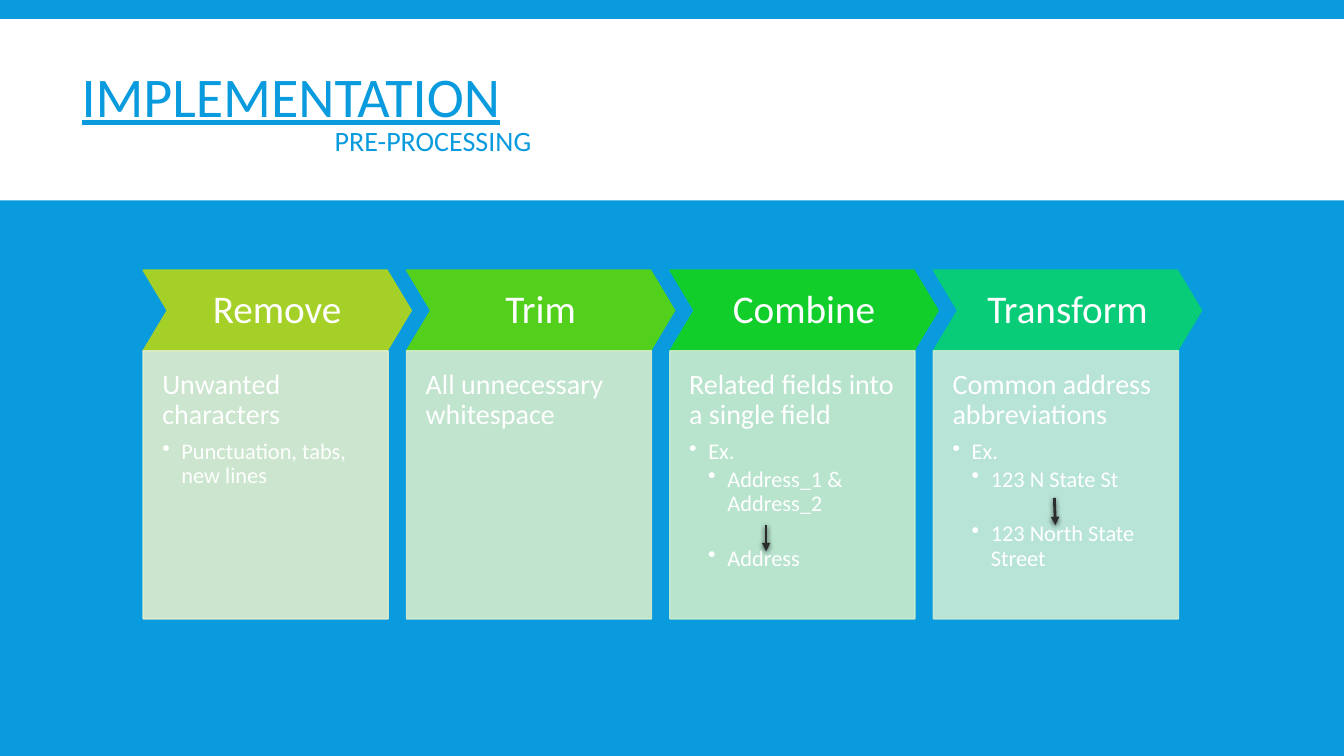
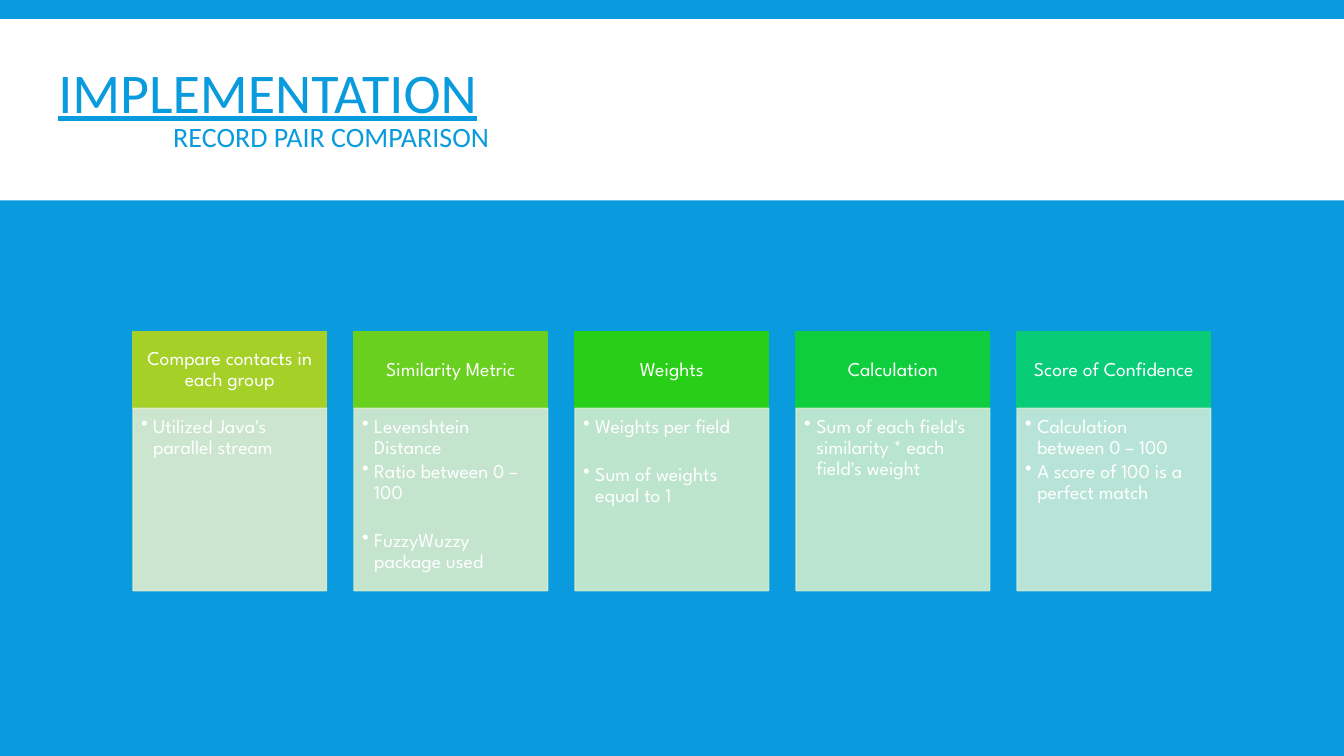
from dataclasses import dataclass
from lxml import etree
from pptx import Presentation
from pptx.dml.color import RGBColor
from pptx.enum.shapes import MSO_CONNECTOR, MSO_SHAPE as Shape
from pptx.enum.text import MSO_ANCHOR as Anchor, PP_ALIGN as Align
from pptx.oxml.ns import qn
from pptx.util import Inches, Pt

# Slide size, measured out in a grid of 100 columns by 100 rows
WIDTH, HEIGHT = Inches(13.33), Inches(7.5)

# Colours
BLUE = RGBColor(0x09, 0x9B, 0xDD)
WHITE = RGBColor(0xFF, 0xFF, 0xFF)
CHARCOAL = RGBColor(0x2C, 0x2C, 0x2C)
BLACK = RGBColor(0x00, 0x00, 0x00)
LIME, PALE_LIME = RGBColor(0xA5, 0xD0, 0x28), RGBColor(0xE1, 0xEE, 0xCD)
LEAF, PALE_LEAF = RGBColor(0x53, 0xD0, 0x1C), RGBColor(0xD6, 0xED, 0xCD)
GREEN, PALE_GREEN = RGBColor(0x12, 0xCE, 0x2B), RGBColor(0xCC, 0xED, 0xCD)
TEAL, PALE_TEAL = RGBColor(0x08, 0xCC, 0x78), RGBColor(0xCC, 0xEC, 0xD7)
APPLE, PALE_APPLE = RGBColor(0x69, 0xD0, 0x1F), RGBColor(0xD9, 0xED, 0xCD)
GRASS, PALE_GRASS = RGBColor(0x27, 0xCF, 0x17), RGBColor(0xD1, 0xED, 0xCC)
EMERALD, PALE_EMERALD = RGBColor(0x0F, 0xCE, 0x3D), RGBColor(0xCC, 0xED, 0xCF)

TITLE_FONT = "Calibri"
BLANK_LINE = 1.22  # gap of one line, as a multiple of the font size


@dataclass(frozen=True)
class Area:
    """A rectangle in grid columns and rows."""
    left: float
    top: float
    width: float
    height: float

    def emu(self) -> tuple[int, int, int, int]:
        return col(self.left), row(self.top), col(self.width), row(self.height)


@dataclass(frozen=True)
class Item:
    text: str
    level: int = 1
    gap: bool = False


@dataclass(frozen=True)
class Card:
    head: str
    color: RGBColor
    pale: RGBColor
    items: tuple[Item, ...]


@dataclass(frozen=True)
class CardStyle:
    first: float
    last: float
    top: float
    head_width: float
    head_height: float
    box_width: float
    box_height: float
    head_shape: Shape
    font: str
    head_size: int
    item_sizes: tuple[int, int, int]
    indent: float
    head_insets: tuple[float, float, float, float]
    box_insets: tuple[float, float, float, float]


@dataclass(frozen=True)
class Arrow:
    x1: float
    y1: float
    x2: float
    y2: float


def col(n: float) -> int:
    return round(WIDTH * n / 100)


def row(n: float) -> int:
    return round(HEIGHT * n / 100)


def assign(obj, values: dict) -> None:
    for name, value in values.items():
        setattr(obj, name, value)


def add_run(p, text: str, font: str, size: int, color: RGBColor, underline: bool = False) -> None:
    r = p.add_run()
    r.text = text
    assign(r.font, {"name": font, "size": Pt(size), "underline": underline})
    r.font.color.rgb = color


def set_frame(tf, anchor: Anchor, insets: tuple[float, float, float, float]) -> None:
    left, top, right, bottom = map(Inches, insets)
    assign(tf, {"word_wrap": True, "vertical_anchor": anchor, "margin_left": left,
                "margin_top": top, "margin_right": right, "margin_bottom": bottom})


def add_block(s, kind: Shape, area: Area, color: RGBColor, opacity: int = 100):
    sp = s.shapes.add_shape(kind, *area.emu())
    sp.shadow.inherit = False
    sp.fill.solid()
    sp.fill.fore_color.rgb = color
    sp.line.color.rgb = color
    sp.line.width = Pt(1)
    if opacity < 100:
        for clr in sp._element.spPr.iter(qn("a:srgbClr")):
            etree.SubElement(clr, qn("a:alpha"), val=str(opacity * 1000))
    return sp


def add_base(prs, subtitle: str, area: Area, indent: float):
    """Blue slide with the white band, title and indented subtitle."""
    s = prs.slides.add_slide(prs.slide_layouts[6])
    s.background.fill.solid()
    s.background.fill.fore_color.rgb = BLUE
    band = add_block(s, Shape.RECTANGLE, Area(0, 2.53, 100, 24), WHITE)
    band.line.fill.background()

    tf = s.shapes.add_textbox(*area.emu()).text_frame
    set_frame(tf, Anchor.MIDDLE, (0.1, 0.05, 0.1, 0.05))
    title, sub = tf.paragraphs[0], tf.add_paragraph()
    sub._p.get_or_add_pPr().set("marL", str(col(indent)))
    for p in (title, sub):
        p.line_spacing = 0.85
    add_run(title, "IMPLEMENTATION", TITLE_FONT, 40, BLUE, True)
    add_run(sub, subtitle, TITLE_FONT, 20, BLUE)
    return s


def add_item(p, item: Item, style: CardStyle) -> None:
    size = style.item_sizes[item.level]
    if item.level:
        step = Inches(style.indent)
        pPr = p._p.get_or_add_pPr()
        pPr.set("marL", str(step * item.level))
        pPr.set("indent", str(-step))
        etree.SubElement(pPr, qn("a:buChar"), char="•")
    after = 0.15 if item.level else 0.35
    assign(p, {"alignment": Align.LEFT, "line_spacing": 0.9, "space_after": Pt(size * after)})
    if item.gap:
        p.space_before = Pt(size * BLANK_LINE)
    add_run(p, item.text, style.font, size, WHITE)


def add_card(s, card: Card, left: float, style: CardStyle) -> None:
    # Heading
    area = Area(left, style.top, style.head_width, style.head_height)
    head = add_block(s, style.head_shape, area, card.color)
    if style.head_shape == Shape.CHEVRON:
        head.adjustments[0] = 0.3
    set_frame(head.text_frame, Anchor.MIDDLE, style.head_insets)
    p = head.text_frame.paragraphs[0]
    assign(p, {"alignment": Align.CENTER, "line_spacing": 0.9})
    add_run(p, card.head, style.font, style.head_size, WHITE)

    # Details
    area = Area(left, style.top + style.head_height, style.box_width, style.box_height)
    tf = add_block(s, Shape.RECTANGLE, area, card.pale, 90).text_frame
    set_frame(tf, Anchor.TOP, style.box_insets)
    for i, item in enumerate(card.items):
        add_item(tf.add_paragraph() if i else tf.paragraphs[0], item, style)


def add_cards(s, cards: tuple[Card, ...], style: CardStyle) -> None:
    pitch = (style.last - style.first) / (len(cards) - 1)
    for i, card in enumerate(cards):
        add_card(s, card, style.first + i * pitch, style)


def add_arrow(s, a: Arrow) -> None:
    line = s.shapes.add_connector(MSO_CONNECTOR.STRAIGHT, col(a.x1), row(a.y1), col(a.x2), row(a.y2))
    line.line.color.rgb = CHARCOAL
    line.line.width = Pt(2)
    spPr = line._element.spPr
    etree.SubElement(spPr.find(qn("a:ln")), qn("a:tailEnd"), type="triangle")
    effects = etree.SubElement(spPr, qn("a:effectLst"))
    shadow = etree.SubElement(effects, qn("a:outerShdw"), blurRad=str(Pt(4)),
                              dist=str(Pt(1.2)), dir="5400000", rotWithShape="0")
    clr = etree.SubElement(shadow, qn("a:srgbClr"), val=str(BLACK))
    etree.SubElement(clr, qn("a:alpha"), val="68000")


# Pre-processing steps
STEP_STYLE = CardStyle(
    first=10.65, last=69.45, top=35.73, head_width=19.95, head_height=10.67,
    box_width=18.23, box_height=35.47, head_shape=Shape.CHEVRON, font="Calibri",
    head_size=28, item_sizes=(20, 16, 16), indent=0.19,
    head_insets=(0.1, 0.1, 0.1, 0.1), box_insets=(0.19, 0.19, 0.19, 0.38))
STEPS = (
    Card("Remove", LIME, PALE_LIME, (
        Item("Unwanted characters", 0), Item("Punctuation, tabs, new lines"))),
    Card("Trim", LEAF, PALE_LEAF, (Item("All unnecessary whitespace", 0),)),
    Card("Combine", GREEN, PALE_GREEN, (
        Item("Related fields into a single field", 0), Item("Ex."),
        Item("Address_1 & Address_2", 2), Item("Address", 2, gap=True))),
    Card("Transform", TEAL, PALE_TEAL, (
        Item("Common address abbreviations", 0), Item("Ex."),
        Item("123 N State St", 2), Item("123 North State Street", 2, gap=True))),
)
ARROWS = (Arrow(57, 69.47, 57, 72.93), Arrow(78.45, 65.87, 78.53, 69.47))

# Record pair comparison stages
STAGE_STYLE = CardStyle(
    first=9.9, last=75.68, top=43.87, head_width=14.4, head_height=10.13,
    box_width=14.4, box_height=24.13, head_shape=Shape.RECTANGLE, font="League Spartan",
    head_size=14, item_sizes=(14, 14, 14), indent=0.12,
    head_insets=(0.11, 0.06, 0.11, 0.06), box_insets=(0.08, 0.08, 0.11, 0.12))
STAGES = (
    Card("Compare contacts in each group", LIME, PALE_LIME, (
        Item("Utilized Java's parallel stream"),)),
    Card("Similarity Metric", APPLE, PALE_APPLE, (
        Item("Levenshtein Distance"), Item("Ratio between 0 – 100"),
        Item("FuzzyWuzzy package used", gap=True))),
    Card("Weights", GRASS, PALE_GRASS, (
        Item("Weights per field"), Item("Sum of weights equal to 1", gap=True))),
    Card("Calculation", EMERALD, PALE_EMERALD, (
        Item("Sum of each field's similarity * each field's weight"),)),
    Card("Score of Confidence", TEAL, PALE_TEAL, (
        Item("Calculation between 0 – 100"), Item("A score of 100 is a perfect match"))),
)


def main() -> None:
    prs = Presentation()
    assign(prs, {"slide_width": WIDTH, "slide_height": HEIGHT})

    s = add_base(prs, "PRE-PROCESSING", Area(5.33, 8.4, 71.85, 13.47), 18.83)
    add_cards(s, STEPS, STEP_STYLE)
    for arrow in ARROWS:
        add_arrow(s, arrow)

    s = add_base(prs, "RECORD PAIR COMPARISON", Area(3.6, 3.6, 80.25, 22), 8.55)
    add_cards(s, STAGES, STAGE_STYLE)

    prs.save("out.pptx")


if __name__ == "__main__":
    main()
